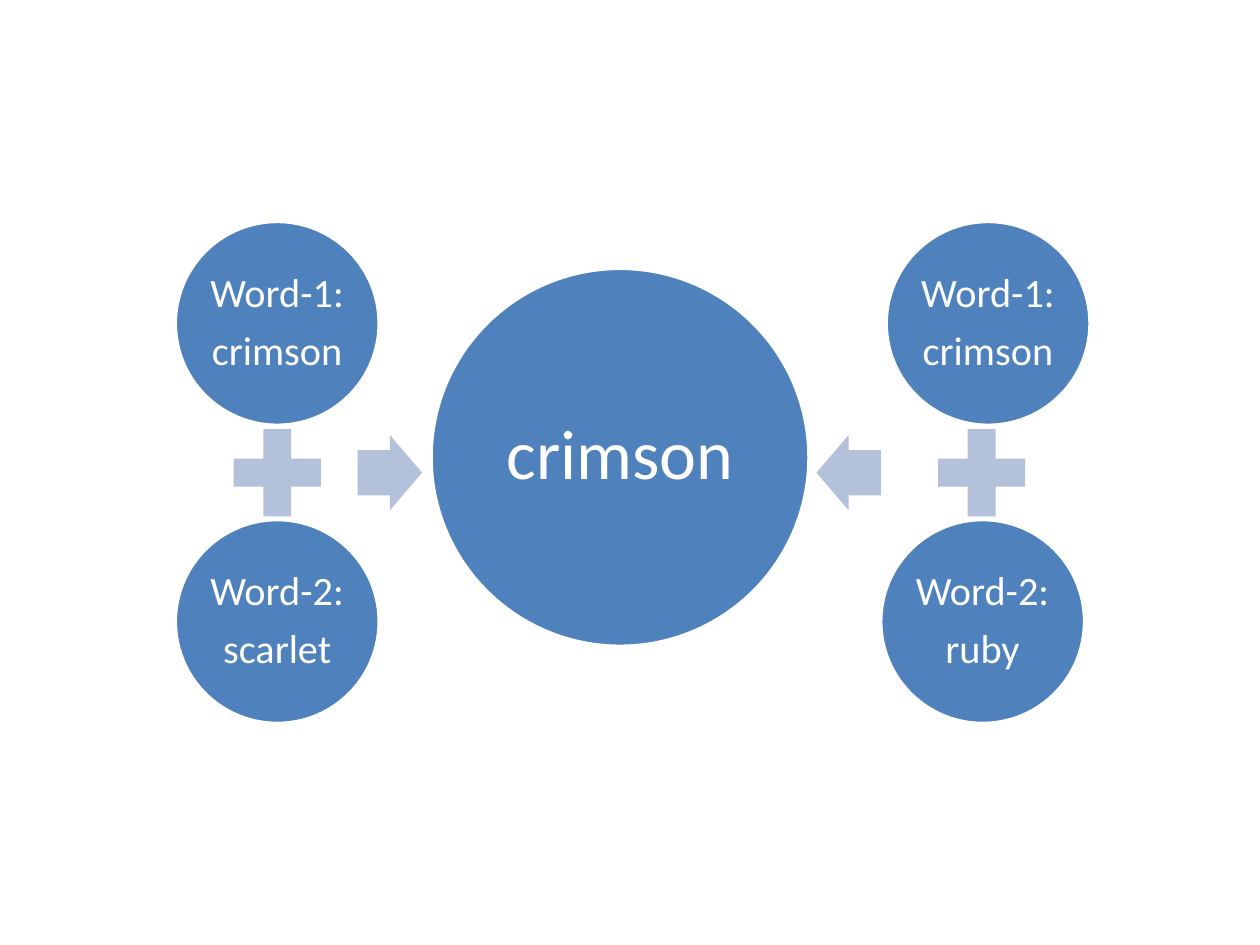
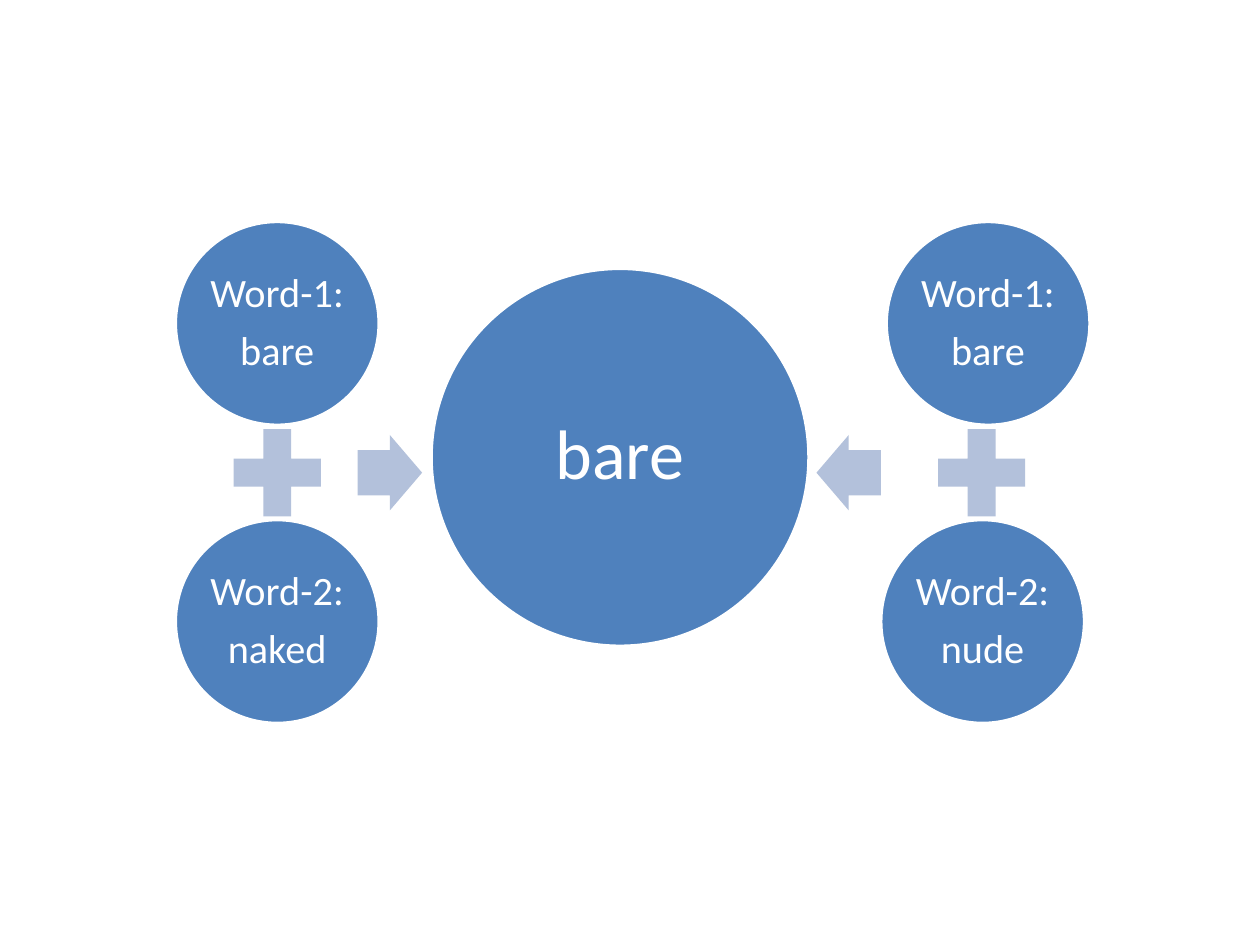
import dataclasses

import pptx
import pptx.dml.color
import pptx.enum.shapes
import pptx.enum.text
import pptx.shapes.autoshape
import pptx.slide
import pptx.util

Cm = pptx.util.Cm
Pt = pptx.util.Pt
RGBColor = pptx.dml.color.RGBColor
Preset = pptx.enum.shapes.MSO_SHAPE

# Shared look
BLUE = RGBColor(0x4F, 0x81, 0xBD)
PALE_BLUE = RGBColor(0xB3, 0xC1, 0xDB)
WHITE = RGBColor(0xFF, 0xFF, 0xFF)
FONT = "Calibri"

# Shared rows, in centimetres
TOP_ROW, MIDDLE_ROW, BOTTOM_ROW = 6.52, 9.53, 12.53


@dataclasses.dataclass(frozen=True)
class CircleStyle:
    diameter: float
    inset: float
    text_size: int


@dataclasses.dataclass(frozen=True)
class Pairing:
    """Horizontal centres of one word pair and its arrow."""
    first_x: float
    second_x: float
    plus_x: float
    arrow_x: float
    arrow: Preset


@dataclasses.dataclass(frozen=True)
class WordSet:
    shared: str
    left: str
    right: str


WORD = CircleStyle(diameter=4.11, inset=0.08, text_size=23)
RESULT = CircleStyle(diameter=7.62, inset=0.25, text_size=40)

LEFT = Pairing(5.59, 5.59, 5.59, 7.86, Preset.RIGHT_ARROW)
RIGHT = Pairing(19.92, 19.81, 19.79, 17.11, Preset.LEFT_ARROW)

WORD_SETS = [
    WordSet("crimson", "scarlet", "ruby"),
    WordSet("bare", "naked", "nude"),
]


def add_centred(page: pptx.slide.Slide, preset: Preset, x: float, y: float,
                width: float, height: float,
                fill: RGBColor) -> pptx.shapes.autoshape.Shape:
    """Draw a flat shape around the centre x, y."""
    shape = page.shapes.add_shape(preset, Cm(x - width / 2), Cm(y - height / 2),
                                  Cm(width), Cm(height))
    shape.shadow.inherit = False
    shape.fill.solid()
    shape.fill.fore_color.rgb = fill
    shape.line.fill.background()
    return shape


def write_text(box: pptx.shapes.autoshape.Shape, text: str, *, size: int,
               inset: float, color: RGBColor = WHITE) -> None:
    frame = box.text_frame
    frame.word_wrap = True
    frame.vertical_anchor = pptx.enum.text.MSO_ANCHOR.MIDDLE
    frame.margin_left = frame.margin_right = Cm(inset)
    frame.margin_top = frame.margin_bottom = Cm(inset)
    frame.text = text
    for para in frame.paragraphs:
        para.alignment = pptx.enum.text.PP_ALIGN.CENTER
        para.line_spacing = 0.9
        para.space_after = Pt(0.35 * size)
        for span in para.runs:
            span.font.name = FONT
            span.font.size = Pt(size)
            span.font.color.rgb = color


def add_circle(page: pptx.slide.Slide, text: str, x: float, y: float,
               style: CircleStyle) -> None:
    circle = add_centred(page, Preset.OVAL, x, y, style.diameter,
                         style.diameter, BLUE)
    circle.line.color.rgb = WHITE
    circle.line.width = Pt(2)
    write_text(circle, text, size=style.text_size, inset=style.inset)


def add_pairing(page: pptx.slide.Slide, pairing: Pairing, first: str,
                second: str) -> None:
    """Draw two words joined by a plus, with an arrow to the result."""
    add_circle(page, f"Word-1:\n{first}", pairing.first_x, TOP_ROW, WORD)
    add_circle(page, f"Word-2:\n{second}", pairing.second_x, BOTTOM_ROW, WORD)
    add_centred(page, Preset.MATH_PLUS, pairing.plus_x, MIDDLE_ROW,
                2.39, 2.39, PALE_BLUE)
    arrow = add_centred(page, pairing.arrow, pairing.arrow_x, MIDDLE_ROW,
                        1.3, 1.52, PALE_BLUE)
    arrow.adjustments[0] = 0.6


def main() -> None:
    deck = pptx.Presentation()
    deck.slide_width, deck.slide_height = Cm(25.4), Cm(19.05)
    blank = deck.slide_layouts[6]
    for words in WORD_SETS:
        page = deck.slides.add_slide(blank)
        add_pairing(page, LEFT, words.shared, words.left)
        add_circle(page, words.shared, 12.5, 9.22, RESULT)
        add_pairing(page, RIGHT, words.shared, words.right)
    deck.save("out.pptx")


if __name__ == "__main__":
    main()
